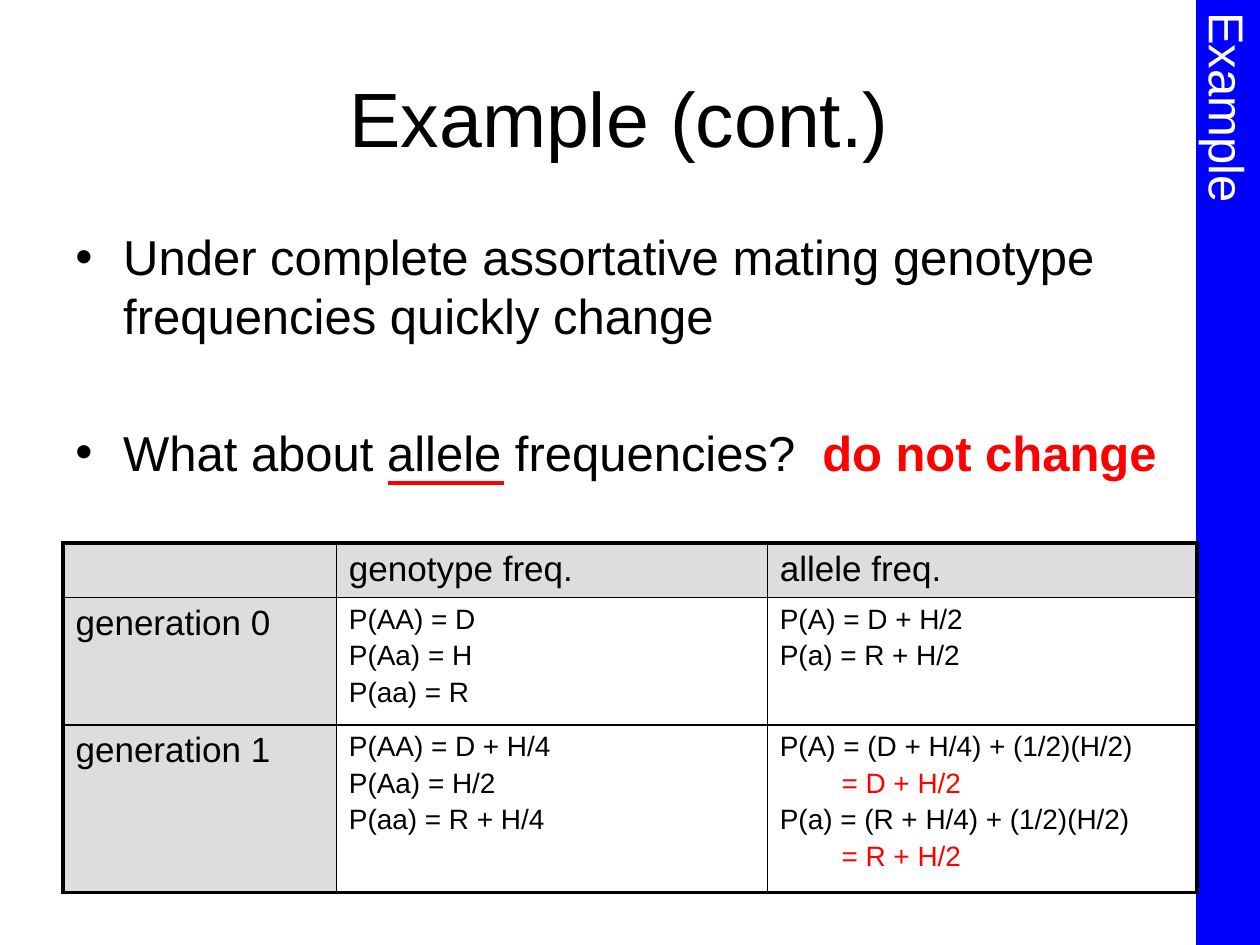
from dataclasses import dataclass

from lxml.etree import SubElement
from pptx import Presentation
from pptx.dml.color import RGBColor
from pptx.enum.shapes import MSO_CONNECTOR, MSO_SHAPE
from pptx.enum.text import MSO_ANCHOR, PP_ALIGN
from pptx.oxml.ns import qn
from pptx.util import Inches, Pt


@dataclass(frozen=True)
class Theme:
    """Colours, font and type sizes of the slide."""
    font: str = "Arial"
    black: RGBColor = RGBColor(0, 0, 0)
    white: RGBColor = RGBColor(255, 255, 255)
    red: RGBColor = RGBColor(255, 0, 0)
    blue: RGBColor = RGBColor(0, 0, 255)
    grey: RGBColor = RGBColor(0xDD, 0xDD, 0xDD)
    title: int = 44
    body: int = 28
    label: int = 20
    formula: int = 16
    thin: float = 1
    thick: float = 2.25


THEME = Theme()


def style_paragraph(paragraph, size, color=THEME.black):
    """Give every run of a paragraph the theme font."""
    for run in paragraph.runs:
        run.font.name = THEME.font
        run.font.size = Pt(size)
        run.font.color.rgb = color


def add_text_box(slide, left, top, width, height):
    """Add a wrapping text box and return its text frame."""
    shape = slide.shapes.add_textbox(Inches(left), Inches(top), Inches(width), Inches(height))
    shape.text_frame.word_wrap = True
    return shape.text_frame


def add_sidebar(slide, text):
    """Add the blue strip with its vertical heading."""
    shape = slide.shapes.add_shape(
        MSO_SHAPE.RECTANGLE, Inches(9.5), 0, Inches(0.5), Inches(7.5))
    shape.shadow.inherit = False
    shape.fill.solid()
    shape.fill.fore_color.rgb = THEME.blue
    shape.line.color.rgb = THEME.blue
    shape.line.width = Pt(THEME.thin)
    text_frame = shape.text_frame
    text_frame.text = text
    text_frame.word_wrap = True
    text_frame.vertical_anchor = MSO_ANCHOR.MIDDLE
    properties = text_frame._txBody.find(qn("a:bodyPr"))
    properties.set("vert", "eaVert")
    paragraph = text_frame.paragraphs[0]
    paragraph.alignment = PP_ALIGN.LEFT
    style_paragraph(paragraph, THEME.body, THEME.white)


def add_title(slide, text):
    """Add the centred slide title."""
    text_frame = add_text_box(slide, 0.5, 0.3, 9, 1.25)
    text_frame.text = text
    text_frame.vertical_anchor = MSO_ANCHOR.MIDDLE
    paragraph = text_frame.paragraphs[0]
    paragraph.alignment = PP_ALIGN.CENTER
    style_paragraph(paragraph, THEME.title)


def add_bullets(slide, bullets, gap):
    """Add bulleted lines, each with an optional red ending."""
    text_frame = add_text_box(slide, 0.5, 1.75, 9, 2.39)
    for index, (text, emphasis) in enumerate(bullets):
        paragraph = text_frame.add_paragraph() if index else text_frame.paragraphs[0]
        paragraph.text = text
        paragraph.space_before = Pt(gap if index else 0)
        style_paragraph(paragraph, THEME.body)
        if emphasis:
            run = paragraph.add_run()
            run.text = emphasis
            style_paragraph(paragraph, THEME.body)
            run.font.bold = True
            run.font.color.rgb = THEME.red
        properties = paragraph._p.get_or_add_pPr()
        properties.set("marL", str(Inches(0.38)))
        properties.set("indent", str(-Inches(0.38)))
        SubElement(properties, qn("a:buFont")).set("typeface", THEME.font)
        SubElement(properties, qn("a:buChar")).set("char", "•")


def add_underline(slide):
    """Add the red line under a word."""
    line = slide.shapes.add_connector(
        MSO_CONNECTOR.STRAIGHT, Inches(3.08), Inches(3.83), Inches(4), Inches(3.83))
    line.line.color.rgb = THEME.red
    line.line.width = Pt(THEME.thick)
    SubElement(line._element.spPr, qn("a:effectLst"))


def set_borders(cell, outer_sides):
    """Draw cell borders, thick on the outer sides of the table."""
    properties = cell._tc.get_or_add_tcPr()
    for side in "LRTB":
        width = THEME.thick if side in outer_sides else THEME.thin
        line = SubElement(properties, qn(f"a:ln{side}"), w=str(Pt(width)))
        fill = SubElement(line, qn("a:solidFill"))
        SubElement(fill, qn("a:srgbClr"), val=str(THEME.black))


def fill_cell(cell, text, size):
    """Write cell lines, with continuation lines indented in red."""
    text_frame = cell.text_frame
    text_frame.text = text
    for paragraph in text_frame.paragraphs:
        continued = paragraph.text.startswith("=")
        paragraph.space_before = Pt(size / 5)
        style_paragraph(paragraph, size, THEME.red if continued else THEME.black)
        if continued:
            paragraph._p.get_or_add_pPr().set("marL", str(Inches(0.49)))


def add_frequency_table(slide, rows, widths, heights):
    """Add the table with grey headings and a thick frame."""
    table = slide.shapes.add_table(
        len(rows), len(widths), Inches(0.5), Inches(4.31),
        Inches(sum(widths)), Inches(sum(heights))).table
    for column, width in zip(table.columns, widths):
        column.width = Inches(width)
    for row, height in zip(table.rows, heights):
        row.height = Inches(height)
    for row_index, texts in enumerate(rows):
        for column_index, text in enumerate(texts):
            cell = table.cell(row_index, column_index)
            heading = row_index == 0 or column_index == 0
            edges = {"L": column_index == 0, "R": column_index == len(widths) - 1,
                     "T": row_index == 0, "B": row_index == len(rows) - 1}
            set_borders(cell, [side for side, outer in edges.items() if outer])
            if heading:
                cell.fill.solid()
                cell.fill.fore_color.rgb = THEME.grey
            else:
                cell.fill.background()
            fill_cell(cell, text, THEME.label if heading else THEME.formula)


def main():
    """Build and save the slide."""
    presentation = Presentation()
    presentation.slide_width = Inches(10)
    presentation.slide_height = Inches(7.5)
    slide = presentation.slides.add_slide(presentation.slide_layouts[6])
    add_sidebar(slide, "Example")
    add_title(slide, "Example (cont.) ")
    add_bullets(slide, [
        ("Under complete assortative mating genotype frequencies quickly change", ""),
        ("What about allele frequencies?  ", "do not change"),
    ], gap=44.5)
    add_frequency_table(slide, [
        ("", "genotype freq.", "allele freq."),
        ("generation 0", "P(AA) = D\nP(Aa) = H\nP(aa) = R",
         "P(A) = D + H/2\nP(a) = R + H/2"),
        ("generation 1", "P(AA) = D + H/4\nP(Aa) = H/2\nP(aa) = R + H/4",
         "P(A) = (D + H/4) + (1/2)(H/2)\n= D + H/2\n"
         "P(a) = (R + H/4) + (1/2)(H/2)\n= R + H/2"),
    ], widths=(2.17, 3.42, 3.41), heights=(0.43, 1.01, 1.33))
    add_underline(slide)
    presentation.save("out.pptx")


main()
